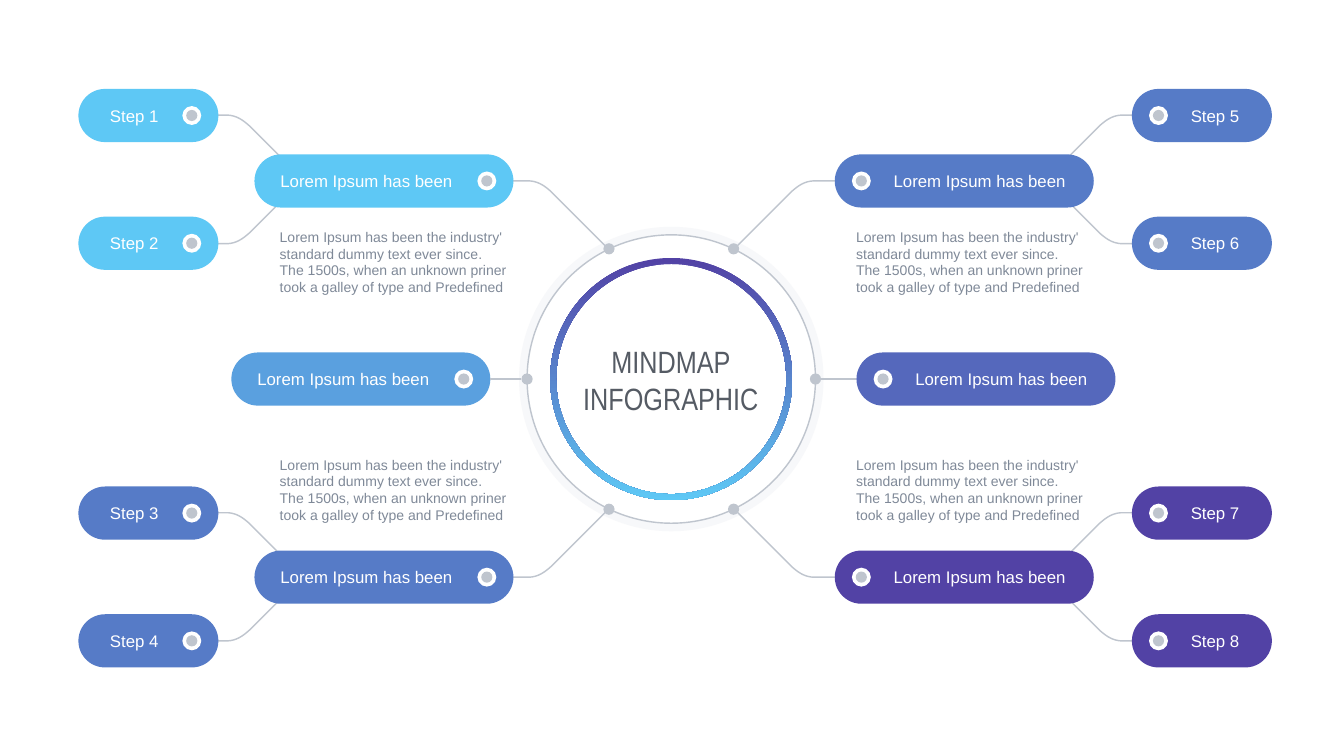
from lxml import etree
from pptx import Presentation
from pptx import util as u
from pptx.dml.color import RGBColor
from pptx.enum import shapes, text
from pptx.oxml.ns import qn

Pt = u.Pt
COLORS = {
    "sky": "5EC8F5", "azure": "5AA0DF", "blue": "567BC7",
    "indigo": "5568BC", "violet": "5242A5", "grey": "BFC5CE",
    "halo": "EFF0F4", "white": "FFFFFF", "title": "555B64", "body": "7F8998",
}
RGB = {name: RGBColor.from_string(value) for name, value in COLORS.items()}
BODY = ("Lorem Ipsum has been the industry' standard dummy text ever since. "
        "The 1500s, when an unknown priner took a galley of type and Predefined")
HUB_X, HUB_Y = 959, 541.5
HUB_R = 206
PILL_H = 76

prs = Presentation()
prs.slide_width, prs.slide_height = Pt(1920), Pt(1080)
s = prs.slides.add_slide(prs.slide_layouts[5])


def disc(x, y, r, color=None, kind=shapes.MSO_SHAPE.OVAL):
    sp = s.shapes.add_shape(kind, Pt(x - r), Pt(y - r), Pt(2 * r), Pt(2 * r))
    sp.shadow.inherit = False
    sp.line.fill.background()
    if color:
        sp.fill.solid()
        sp.fill.fore_color.rgb = RGB[color]
    else:
        sp.fill.background()
    return sp


def link(x, y, dx, dy):
    curve = [(78, 78), (85, 84), (94, 92), (108, 93)]
    points = []
    for i in range(13):
        t = i / 12
        weights = [(1 - t) ** 3, 3 * t * (1 - t) ** 2, 3 * t * t * (1 - t), t ** 3]
        points.append([sum(w * c[k] for w, c in zip(weights, curve)) for k in (0, 1)])
    points.append((167, 93))
    path = s.shapes.build_freeform(Pt(x), Pt(y))
    path.add_line_segments([(Pt(x + dx * a), Pt(y + dy * b)) for a, b in points], close=False)
    sp = path.convert_to_shape()
    sp.shadow.inherit = False
    sp.fill.background()
    sp.line.color.rgb = RGB["grey"]
    sp.line.width = Pt(2)


halo = disc(HUB_X, HUB_Y, 217.5, "halo", shapes.MSO_SHAPE.DONUT)
halo.adjustments[0] = 0.025
color = halo.fill._xPr.find(qn("a:solidFill")).find(qn("a:srgbClr"))
etree.SubElement(color, qn("a:alpha"), val="45000")

ring = disc(HUB_X, HUB_Y, 173, kind=shapes.MSO_SHAPE.DONUT)
ring.adjustments[0] = 0.025
ring.fill.gradient()
ring.fill.gradient_angle = 270
for stop, name, position in zip(ring.fill.gradient_stops, ("violet", "sky"), (0, 1)):
    stop.color.rgb = RGB[name]
    stop.position = position

orbit = disc(HUB_X, HUB_Y, HUB_R)
orbit.line.color.rgb = RGB["grey"]
orbit.line.width = Pt(2)

title = s.shapes.title
title.left, title.top, title.width, title.height = Pt(799), Pt(494.5), Pt(319), Pt(95)
tf = title.text_frame
tf.text = "MINDMAP\nINFOGRAPHIC"
tf.word_wrap = True
tf.auto_size = text.MSO_AUTO_SIZE.NONE
tf.vertical_anchor = text.MSO_ANCHOR.MIDDLE
tf.margin_left = tf.margin_right = tf.margin_top = tf.margin_bottom = Pt(4.5)
for p in tf.paragraphs:
    p.alignment = text.PP_ALIGN.CENTER
    p.font.size = Pt(44)
    p.font.name = "Arial Narrow"
    p.font.color.rgb = RGB["title"]

for dx in (-1, 1):
    disc(HUB_X + dx * HUB_R, HUB_Y, 8, "grey")
    for dy in (-1, 1):
        disc(HUB_X + dx * 89, HUB_Y + dy * 186, 8, "grey")
        link(HUB_X + dx * 94, HUB_Y + dy * 190, dx, dy)

for y, dy in ((164.5, -1), (348, 1), (732.5, -1), (915.5, 1)):
    link(434, y - dy * 93, -1, dy)
    link(1493, y - dy * 93, 1, dy)

MAIN = "Lorem Ipsum has been"
pills = [
    (112, 165, 200, "sky", "Step 1", -1),
    (112, 347.5, 200, "sky", "Step 2", -1),
    (112, 733, 200, "blue", "Step 3", -1),
    (112, 915.5, 200, "blue", "Step 4", -1),
    (1617, 165, 200, "blue", "Step 5", 1),
    (1617, 347.5, 200, "blue", "Step 6", 1),
    (1617, 733, 200, "violet", "Step 7", 1),
    (1617, 915.5, 200, "violet", "Step 8", 1),
    (363.5, 258.5, 370, "sky", MAIN, -1),
    (330.5, HUB_Y, 370, "azure", MAIN, -1),
    (363.5, 824.5, 370, "blue", MAIN, -1),
    (1192.5, 258.5, 370, "blue", MAIN, 1),
    (1223.5, HUB_Y, 370, "indigo", MAIN, 1),
    (1192.5, 824.5, 370, "violet", MAIN, 1),
]
for x, y, w, fill, label, side in pills:
    sp = s.shapes.add_shape(shapes.MSO_SHAPE.ROUNDED_RECTANGLE,
                            Pt(x), Pt(y - PILL_H / 2), Pt(w), Pt(PILL_H))
    sp.adjustments[0] = 0.5
    sp.shadow.inherit = False
    sp.fill.solid()
    sp.fill.fore_color.rgb = RGB[fill]
    sp.line.fill.background()
    tf = sp.text_frame
    tf.word_wrap = True
    tf.vertical_anchor = text.MSO_ANCHOR.MIDDLE
    tf.margin_left = Pt(73 if side > 0 else 26 if label == MAIN else 34)
    tf.margin_right = 0
    p = tf.paragraphs[0]
    p.text = label
    p.alignment = text.PP_ALIGN.LEFT
    p.font.size = Pt(24)
    p.font.name = "Arial"
    p.font.color.rgb = RGB["white"]
    dot_x = x + 38 if side > 0 else x + w - 38
    disc(dot_x, y, 13.5, "white")
    disc(dot_x, y, 8, "grey")
    if y == HUB_Y:
        hub_end = Pt(HUB_X + side * (HUB_R + 8))
        cx = s.shapes.add_connector(shapes.MSO_CONNECTOR.STRAIGHT,
                                    hub_end, Pt(y), hub_end, Pt(y))
        cx.end_connect(sp, 1 if side > 0 else 3)
        cx.line.color.rgb = RGB["grey"]
        cx.line.width = Pt(2)
        etree.SubElement(cx._element.spPr, qn("a:effectLst"))

for x in (392.5, 1216):
    for y in (322.5, 648):
        tf = s.shapes.add_textbox(Pt(x), Pt(y), Pt(340), Pt(104.5)).text_frame
        tf.word_wrap = True
        tf.auto_size = text.MSO_AUTO_SIZE.SHAPE_TO_FIT_TEXT
        p = tf.paragraphs[0]
        p.text = BODY
        p.font.size = Pt(20)
        p.font.name = "Arial"
        p.font.color.rgb = RGB["body"]

prs.save("out.pptx")
